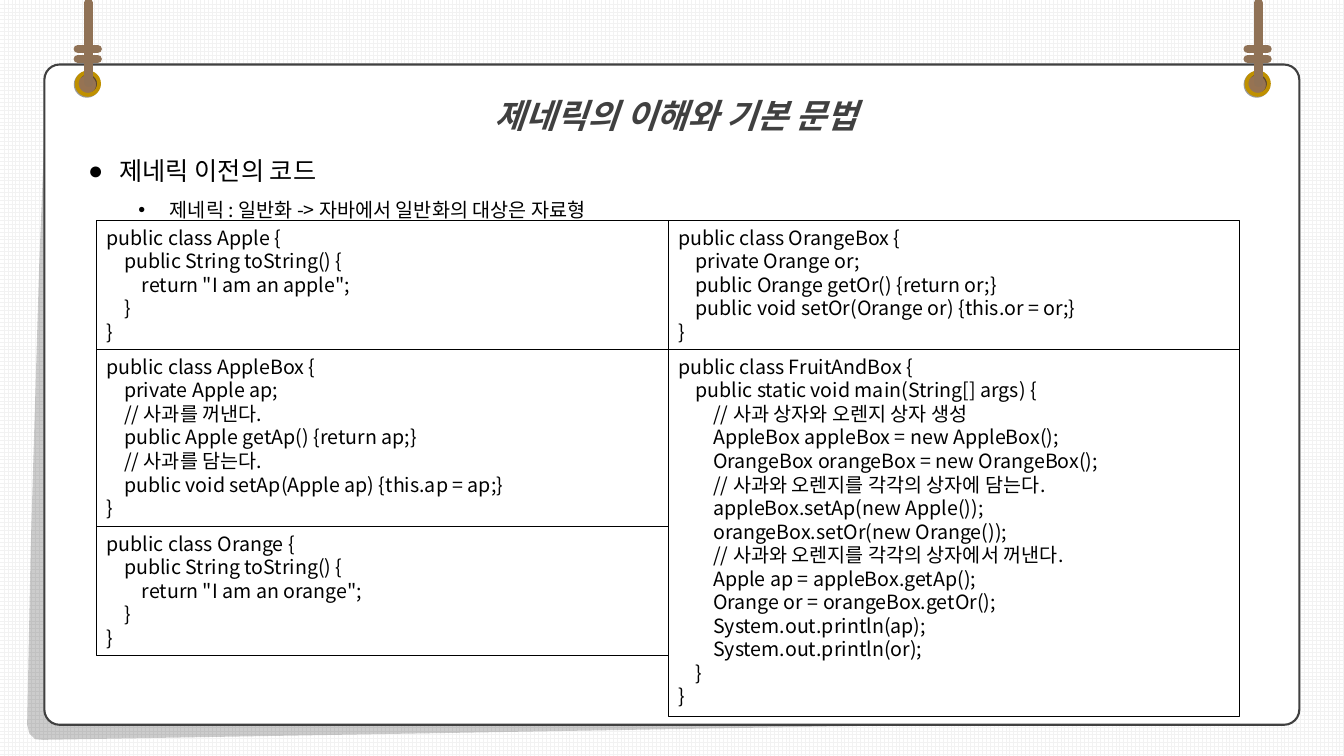
from lxml import etree
from pptx import Presentation
from pptx.dml.color import RGBColor
from pptx.enum.dml import MSO_PATTERN
from pptx.enum.shapes import MSO_CONNECTOR, MSO_SHAPE
from pptx.enum.text import MSO_ANCHOR, PP_ALIGN
from pptx.oxml import parse_xml
from pptx.oxml.ns import nsdecls, qn
from pptx.util import Pt

BLACK = RGBColor(0x00, 0x00, 0x00)
WHITE = RGBColor(0xFF, 0xFF, 0xFF)
GRID = RGBColor(0xF2, 0xF2, 0xF2)
CHARCOAL = RGBColor(0x40, 0x40, 0x40)
KNOT = RGBColor(0x96, 0x73, 0x53)
ROPE = RGBColor(0x90, 0x72, 0x56)
GOLD = RGBColor(0xBF, 0x90, 0x00)
FONT = "Noto Sans CJK KR"
CODE_TOP = 157.7
CODE_WIDTH = 408.25
CODE_LINE = 17
CODE_PADDING = 7.2

BULLETS = [
    ("●", "제네릭 이전의 코드", 18, 22.5),
    ("•", "제네릭 : 일반화 -> 자바에서 일반화의 대상은 자료형", 14, 58.5),
]

APPLE = """public class Apple {
    public String toString() {
        return "I am an apple";
    }
}"""

APPLE_BOX = """public class AppleBox {
    private Apple ap;
    // 사과를 꺼낸다.
    public Apple getAp() {return ap;}
    // 사과를 담는다.
    public void setAp(Apple ap) {this.ap = ap;}
}"""

ORANGE = """public class Orange {
    public String toString() {
        return "I am an orange";
    }
}"""

ORANGE_BOX = """public class OrangeBox {
    private Orange or;
    public Orange getOr() {return or;}
    public void setOr(Orange or) {this.or = or;}
}"""

FRUIT_AND_BOX = """public class FruitAndBox {
    public static void main(String[] args) {
        // 사과 상자와 오렌지 상자 생성
        AppleBox appleBox = new AppleBox();
        OrangeBox orangeBox = new OrangeBox();
        // 사과와 오렌지를 각각의 상자에 담는다.
        appleBox.setAp(new Apple());
        orangeBox.setOr(new Orange());
        // 사과와 오렌지를 각각의 상자에서 꺼낸다.
        Apple ap = appleBox.getAp();
        Orange or = orangeBox.getOr();
        System.out.println(ap);
        System.out.println(or);
    }
}"""

CODE_COLUMNS = [(69, [APPLE, APPLE_BOX, ORANGE]), (69 + CODE_WIDTH, [ORANGE_BOX, FRUIT_AND_BOX])]


def style_text(para, size, color):
    """Set the typeface, size and colour of every run."""
    for span in para.runs:
        span.font.size = Pt(size)
        span.font.name = FONT
        span.font.color.rgb = color
        east_asian = etree.SubElement(span.font._element, qn("a:ea"))
        east_asian.set("typeface", FONT)


def add_box(page, kind, left, top, width, height, fill=None, line=None, weight=0.75):
    """Add a shape with an optional fill and outline."""
    box = page.shapes.add_shape(kind, Pt(left), Pt(top), Pt(width), Pt(height))
    box.shadow.inherit = False
    if fill is None:
        box.fill.background()
    else:
        box.fill.solid()
        box.fill.fore_color.rgb = fill
    if line is None:
        box.line.fill.background()
    else:
        box.line.color.rgb = line
        box.line.width = Pt(weight)
    return box


def add_card_shadow(page):
    """Draw the translucent curled shadow behind the card."""
    builder = page.shapes.build_freeform(Pt(167), Pt(330.5), scale=1.0)
    corners = [(32.4, 79.2), (28, 190), (22, 390), (19.4, 517.7), (21, 524),
               (25, 528), (30.2, 528.5), (918, 513.4)]
    builder.add_line_segments([(Pt(x), Pt(y)) for x, y in corners], close=True)
    shade = builder.convert_to_shape()
    shade.shadow.inherit = False
    shade.fill.solid()
    shade.fill.fore_color.rgb = BLACK
    color = shade._element.spPr.find(".//" + qn("a:srgbClr"))
    etree.SubElement(color, qn("a:alpha")).set("val", "20000")
    shade.line.fill.background()


def add_card(page):
    """Draw the white card with its bulleted text."""
    card = add_box(page, MSO_SHAPE.ROUNDED_RECTANGLE, 31.7, 46.1, 896.4, 471.6, WHITE, CHARCOAL, 1.5)
    card.adjustments[0] = 0.023
    frame = card.text_frame
    frame.word_wrap = True
    frame.vertical_anchor = MSO_ANCHOR.TOP
    frame.margin_left, frame.margin_top = Pt(28), Pt(51)
    frame.margin_right = frame.margin_bottom = 0
    frame.text = "\n".join(text for _, text, _, _ in BULLETS)
    for level, (para, (mark, _, size, indent)) in enumerate(zip(frame.paragraphs, BULLETS)):
        para.level = level
        para.alignment = PP_ALIGN.LEFT
        para.line_spacing = 1.5
        properties = para._p.get_or_add_pPr()
        properties.set("marL", str(Pt(indent)))
        properties.set("indent", str(-Pt(22.5)))
        etree.SubElement(properties, qn("a:buFont")).set("typeface", "Arial")
        etree.SubElement(properties, qn("a:buChar")).set("char", mark)
        style_text(para, size, BLACK)


def add_title(page):
    """Add the centred slide title."""
    box = page.shapes.add_textbox(Pt(243), Pt(49.7), Pt(480), Pt(51))
    box.text_frame.word_wrap = True
    box.text_frame.text = "제네릭의 이해와 기본 문법"
    para = box.text_frame.paragraphs[0]
    para.alignment = PP_ALIGN.CENTER
    para.line_spacing = 1.5
    style_text(para, 24, CHARCOAL)
    para.runs[0].font.bold = True
    para.runs[0].font.italic = True


def add_rope_line(page, x1, y1, x2, y2):
    """Draw one thick round-ended piece of rope."""
    rope = page.shapes.add_connector(MSO_CONNECTOR.STRAIGHT, Pt(x1), Pt(y1), Pt(x2), Pt(y2))
    rope.line.color.rgb = ROPE
    rope.line.width = Pt(6.25)
    rope.line._get_or_add_ln().set("cap", "rnd")
    etree.SubElement(rope._element.spPr, qn("a:effectLst"))


def add_hanger(page, center):
    """Draw a grommet with the rope that holds the card."""
    add_box(page, MSO_SHAPE.OVAL, center - 8.4, 51.8, 16, 16, KNOT)
    ring = add_box(page, MSO_SHAPE.OVAL, center - 8.4, 51.8, 16, 16, None, GOLD, 2.75)
    ring._element.spPr.find(qn("a:effectLst")).append(parse_xml(
        f'<a:outerShdw {nsdecls("a")} dist="12700" dir="8100000" algn="tr" rotWithShape="0">'
        '<a:srgbClr val="000000"><a:alpha val="40000"/></a:srgbClr></a:outerShdw>'))
    add_rope_line(page, center, 59, center, 2)
    for tie in (42.2, 35):
        add_rope_line(page, center + 6.5, tie, center - 7.5, tie)


def add_code(page, left, top, code):
    """Add a framed listing and return its bottom edge."""
    lines = code.split("\n")
    height = CODE_LINE * len(lines) + CODE_PADDING
    frame = add_box(page, MSO_SHAPE.RECTANGLE, left, top, CODE_WIDTH, height, None, BLACK).text_frame
    frame.word_wrap = True
    frame.vertical_anchor = MSO_ANCHOR.TOP
    frame.text = code
    for para in frame.paragraphs:
        para.alignment = PP_ALIGN.LEFT
        para.line_spacing = Pt(16.8)
        style_text(para, 14, BLACK)
    return top + height


def main():
    """Build the slide and save it."""
    deck = Presentation()
    deck.slide_width, deck.slide_height = Pt(960), Pt(540)
    page = deck.slides.add_slide(deck.slide_layouts[6])
    backdrop = page.background.fill
    backdrop.patterned()
    backdrop.pattern = MSO_PATTERN.LARGE_GRID
    backdrop.fore_color.rgb = GRID
    backdrop.back_color.rgb = WHITE
    add_card_shadow(page)
    add_card(page)
    add_title(page)
    for center in (63.2, 898.8):
        add_hanger(page, center)
    for left, listings in CODE_COLUMNS:
        top = CODE_TOP
        for code in listings:
            top = add_code(page, left, top, code)
    deck.save("out.pptx")


if __name__ == "__main__":
    main()
